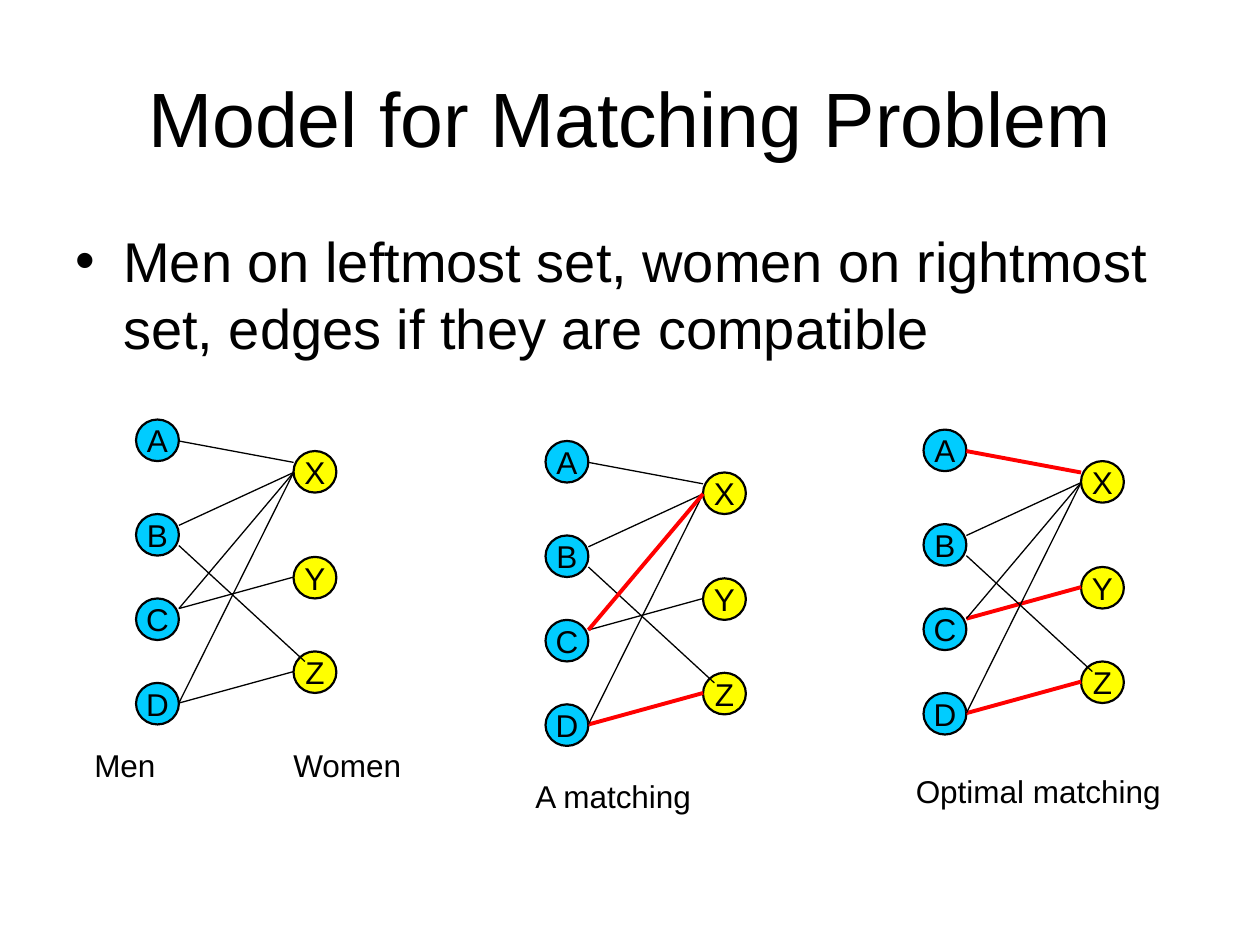
from lxml.etree import SubElement
from pptx import Presentation
from pptx.dml.color import RGBColor
from pptx.enum.shapes import MSO_CONNECTOR, MSO_SHAPE
from pptx.enum.text import MSO_ANCHOR, MSO_AUTO_SIZE, PP_ALIGN
from pptx.oxml.ns import qn
from pptx.util import Inches, Pt

BLACK, RED, BLUE, YELLOW = "000000", "FF0000", "00CCFF", "FFFF00"
NODE_WIDTH, NODE_HEIGHT = 0.34, 0.33
WOMEN_LEFT = 1.25
MEN = {"A": 0, "B": 0.75, "C": 1.42, "D": 2.09}
WOMEN = {"X": 0.25, "Y": 1.09, "Z": 1.84}
EDGES = {
    "AX": (0.34, 0.17, 1.25, 0.34),
    "BX": (0.34, 0.84, 1.25, 0.42),
    "CY": (0.34, 1.5, 1.25, 1.25),
    "DZ": (0.34, 2.25, 1.25, 2),
    "DX": (0.34, 2.25, 1.25, 0.42),
    "BZ": (0.34, 1, 1.34, 1.92),
    "CX": (0.34, 1.5, 1.25, 0.42),
}
GRAPHS = [
    (1.08, 3.33, ()),
    (4.33, 3.5, ("DZ", "CX")),
    (7.33, 3.41, ("AX", "CY", "DZ")),
]
CAPTIONS = [
    ("Men", 0.65, 5.87, 0.74),
    ("Women", 2.23, 5.87, 1.12),
    ("A matching", 4.15, 6.12, 1.51),
    ("Optimal matching", 7.17, 6.08, 2.2),
]


def color(hex_code):
    """Return the colour for a hex string."""
    return RGBColor.from_string(hex_code)


def write(shape, text, size, align):
    """Write one black Arial paragraph into a shape and return it."""
    shape.text_frame.text = text
    paragraph = shape.text_frame.paragraphs[0]
    paragraph.alignment = align
    paragraph.font.name = "Arial"
    paragraph.font.size = Pt(size)
    paragraph.font.color.rgb = color(BLACK)
    return paragraph


def place_title(slide, left, top, width, height):
    """Place the slide title in its box."""
    title = slide.shapes.title
    title.left, title.top = Inches(left), Inches(top)
    title.width, title.height = Inches(width), Inches(height)
    title.text_frame.vertical_anchor = MSO_ANCHOR.MIDDLE
    write(title, "Model for Matching Problem", 44, PP_ALIGN.CENTER)


def add_statement(slide, left, top, width, height):
    """Add the bulleted statement of the model."""
    statement = slide.shapes.add_textbox(
        Inches(left), Inches(top), Inches(width), Inches(height))
    statement.text_frame.word_wrap = True
    paragraph = write(
        statement,
        "Men on leftmost set, women on rightmost set, edges if they are compatible",
        32, PP_ALIGN.LEFT)
    paragraph.space_before = Pt(8)
    properties = paragraph._p.get_or_add_pPr()
    properties.set("marL", str(Inches(0.38)))
    properties.set("indent", str(Inches(-0.38)))
    SubElement(properties, qn("a:buFont"), typeface="Arial")
    SubElement(properties, qn("a:buChar"), char="•")


def add_node(slide, name, left, top, fill):
    """Add one person as a lettered circle."""
    node = slide.shapes.add_shape(
        MSO_SHAPE.OVAL, Inches(left), Inches(top),
        Inches(NODE_WIDTH), Inches(NODE_HEIGHT))
    node.shadow.inherit = False
    node.fill.solid()
    node.fill.fore_color.rgb = color(fill)
    node.line.color.rgb = color(BLACK)
    node.line.width = Pt(1.25)
    node.text_frame.word_wrap = False
    node.text_frame.vertical_anchor = MSO_ANCHOR.MIDDLE
    write(node, name, 18, PP_ALIGN.CENTER)


def add_edge(slide, left, top, ends, matched):
    """Add a compatibility edge, red and thick when it is matched."""
    x1, y1, x2, y2 = ends
    edge = slide.shapes.add_connector(
        MSO_CONNECTOR.STRAIGHT, Inches(left + x1), Inches(top + y1),
        Inches(left + x2), Inches(top + y2))
    edge.line.color.rgb = color(RED if matched else BLACK)
    edge.line.width = Pt(2.25 if matched else 0.75)
    SubElement(edge._element.spPr, qn("a:effectLst"))


def add_graph(slide, left, top, matching):
    """Add the bipartite graph with the edges of a matching highlighted."""
    for name, offset in MEN.items():
        add_node(slide, name, left, top + offset, BLUE)
    for name, offset in WOMEN.items():
        add_node(slide, name, left + WOMEN_LEFT, top + offset, YELLOW)
    for pair, ends in EDGES.items():
        add_edge(slide, left, top, ends, pair in matching)


def add_caption(slide, text, left, top, width):
    """Add a one-line caption below a graph."""
    caption = slide.shapes.add_textbox(
        Inches(left), Inches(top), Inches(width), Inches(0.4))
    caption.text_frame.word_wrap = True
    caption.text_frame.auto_size = MSO_AUTO_SIZE.SHAPE_TO_FIT_TEXT
    write(caption, text, 18, PP_ALIGN.LEFT)


def main():
    """Build the slide and save it."""
    presentation = Presentation()
    presentation.slide_width, presentation.slide_height = Inches(10), Inches(7.5)
    slide = presentation.slides.add_slide(
        presentation.slide_layouts.get_by_name("Title Only"))
    place_title(slide, 0.5, 0.3, 9, 1.25)
    add_statement(slide, 0.5, 1.75, 9, 4.95)
    for left, top, matching in GRAPHS:
        add_graph(slide, left, top, matching)
    for caption in CAPTIONS:
        add_caption(slide, *caption)
    presentation.save("out.pptx")


if __name__ == "__main__":
    main()
